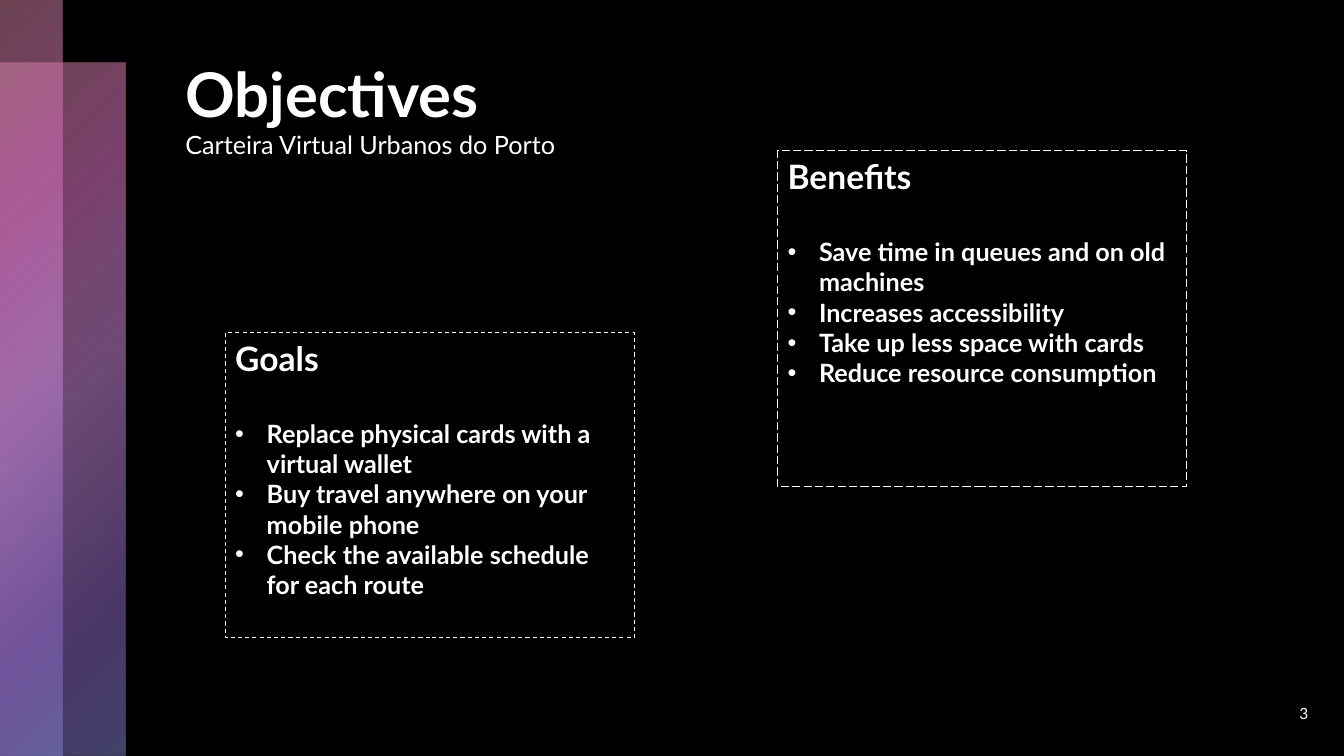
from pptx import Presentation
from pptx.dml.color import RGBColor
from pptx.enum.dml import MSO_LINE
from pptx.enum.shapes import MSO_SHAPE
from pptx.enum.text import MSO_ANCHOR, MSO_AUTO_SIZE, PP_ALIGN
from pptx.oxml import parse_xml
from pptx.oxml.ns import nsdecls, qn
from pptx.util import Pt


def rgb(value):
    return RGBColor.from_string(value)


def add_text(p, text, size=18, bold=False, color="FFFFFF", font="Lato"):
    r = p.add_run()
    r.text = text
    r.font.size = Pt(size)
    r.font.bold = bold
    r.font.name = font
    r.font.color.rgb = rgb(color)


def set_bullet(p, char=None, indent=0):
    pPr = p._p.get_or_add_pPr()
    pPr.set("marL", str(Pt(indent)))
    pPr.set("indent", str(-Pt(indent)))
    tag = f'buChar char="{char}"' if char else "buNone"
    pPr.append(parse_xml(f"<a:{tag} {nsdecls('a')}/>"))


class SlideBuilder:
    white = "FFFFFF"
    black = "000000"
    bar_stops = [
        (0, "D587A1", 50),
        (25, "CC6CB5", 60),
        (50, "C887D5", 55),
        (81, "946CCC", 50),
        (99, "8787D5", 50),
    ]

    def __init__(self, s):
        self.s = s
        s.background.fill.solid()
        s.background.fill.fore_color.rgb = rgb(self.black)

    def place(self, sp, left, top, width, height, anchor=MSO_ANCHOR.TOP):
        sp.left, sp.top, sp.width, sp.height = map(Pt, (left, top, width, height))
        tf = sp.text_frame
        tf.word_wrap = True
        tf.auto_size = MSO_AUTO_SIZE.NONE
        tf.vertical_anchor = anchor
        return tf

    def bar(self, left, top, width, height):
        sp = self.s.shapes.add_shape(
            MSO_SHAPE.RECTANGLE, Pt(left), Pt(top), Pt(width), Pt(height))
        sp.shadow.inherit = False
        sp.line.fill.background()
        sp.fill.background()
        stops = "".join(
            f'<a:gs pos="{pos * 1000}"><a:srgbClr val="{color}">'
            f'<a:alpha val="{alpha * 1000}"/></a:srgbClr></a:gs>'
            for pos, color, alpha in self.bar_stops)
        gradient = parse_xml(
            f'<a:gradFill {nsdecls("a")} rotWithShape="1"><a:gsLst>{stops}</a:gsLst>'
            '<a:path path="circle"><a:fillToRect r="100000" b="100000"/></a:path>'
            '</a:gradFill>')
        spPr = sp._element.spPr
        spPr.replace(spPr.find(qn("a:noFill")), gradient)

    def title(self, text, subtitle, *box):
        p = self.place(self.s.shapes.title, *box).paragraphs[0]
        p.alignment = PP_ALIGN.LEFT
        add_text(p, text, size=44, bold=True)
        p.add_line_break()
        add_text(p, subtitle)

    def list_box(self, idx, heading, items, dash, *box):
        sp = self.s.placeholders[idx]
        tf = self.place(sp, *box)
        sp.line.color.rgb = rgb(self.white)
        sp.line.width = Pt(0.75)
        sp.line.dash_style = dash
        p = tf.paragraphs[0]
        p.space_before = Pt(0)
        p.space_after = Pt(28.8)
        set_bullet(p)
        add_text(p, heading, size=24, bold=True)
        for item in items:
            p = tf.add_paragraph()
            p.space_before = Pt(0)
            set_bullet(p, "•", 22.5)
            add_text(p, item, bold=True)

    def page_number(self, text, *box):
        sp = self.s.shapes.add_textbox(0, 0, 0, 0)
        p = self.place(sp, *box, anchor=MSO_ANCHOR.MIDDLE).paragraphs[0]
        p.alignment = PP_ALIGN.RIGHT
        add_text(p, text, size=11)


def main():
    prs = Presentation()
    prs.slide_width, prs.slide_height = Pt(960), Pt(540)
    s = SlideBuilder(prs.slides.add_slide(prs.slide_layouts[3]))
    s.bar(0, 44.6, 89.6, 495.4)
    s.bar(0, 0, 44.8, 540)
    s.title("Objectives", "Carteira Virtual Urbanos do Porto", 125.2, 36, 746.6, 122.4)
    s.list_box(1, "Goals", [
        "Replace physical cards with a virtual wallet",
        "Buy travel anywhere on your mobile phone",
        "Check the available schedule for each route",
    ], MSO_LINE.DASH, 160.8, 237.5, 292.3, 218)
    s.list_box(2, "Benefits", [
        "Save time in queues and on old machines",
        "Increases accessibility",
        "Take up less space with cards",
        "Reduce resource consumption",
    ], MSO_LINE.LONG_DASH, 555.3, 107.7, 292.3, 240)
    s.page_number("3", 877.7, 495.4, 64, 28.8)
    prs.save("out.pptx")


if __name__ == "__main__":
    main()
